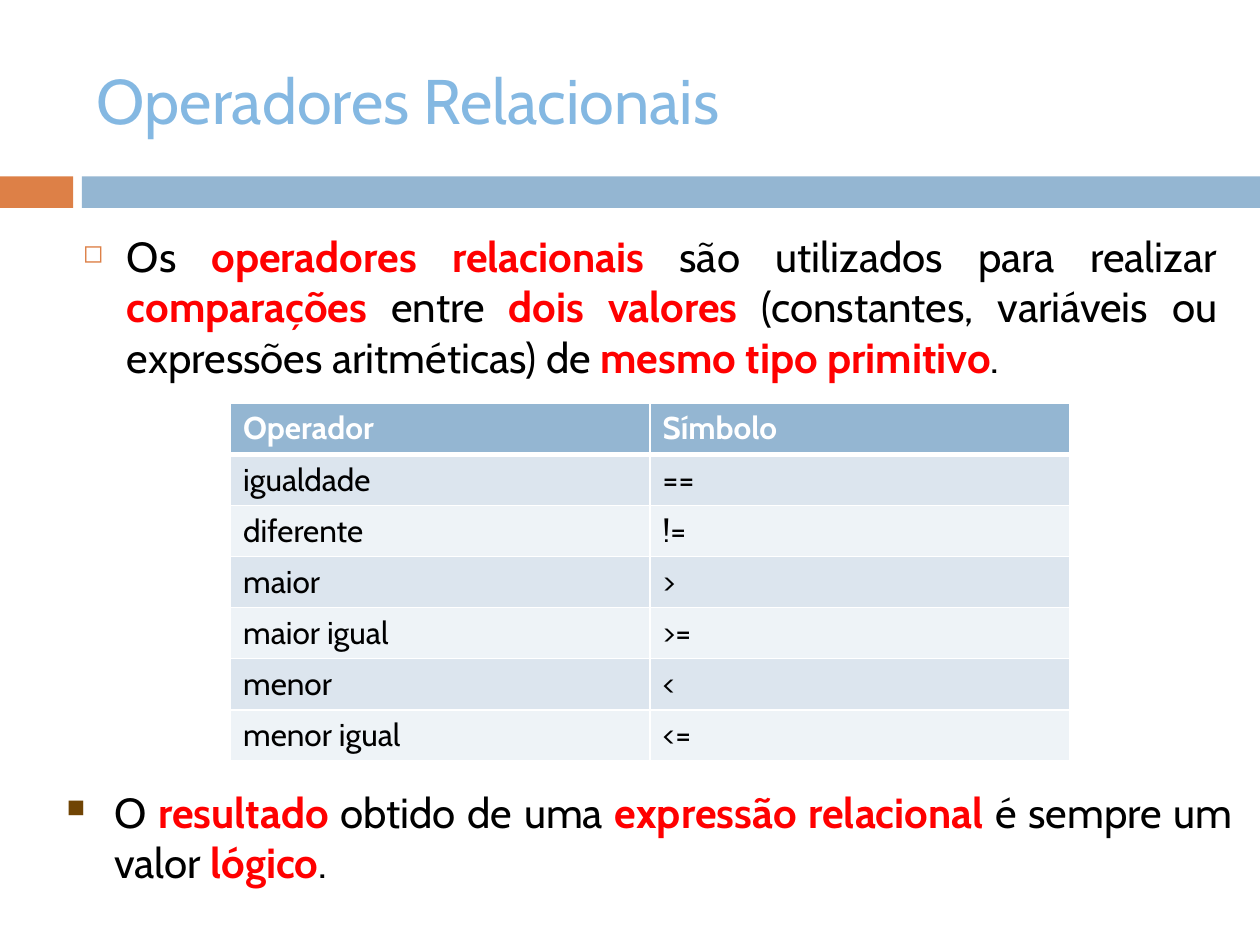
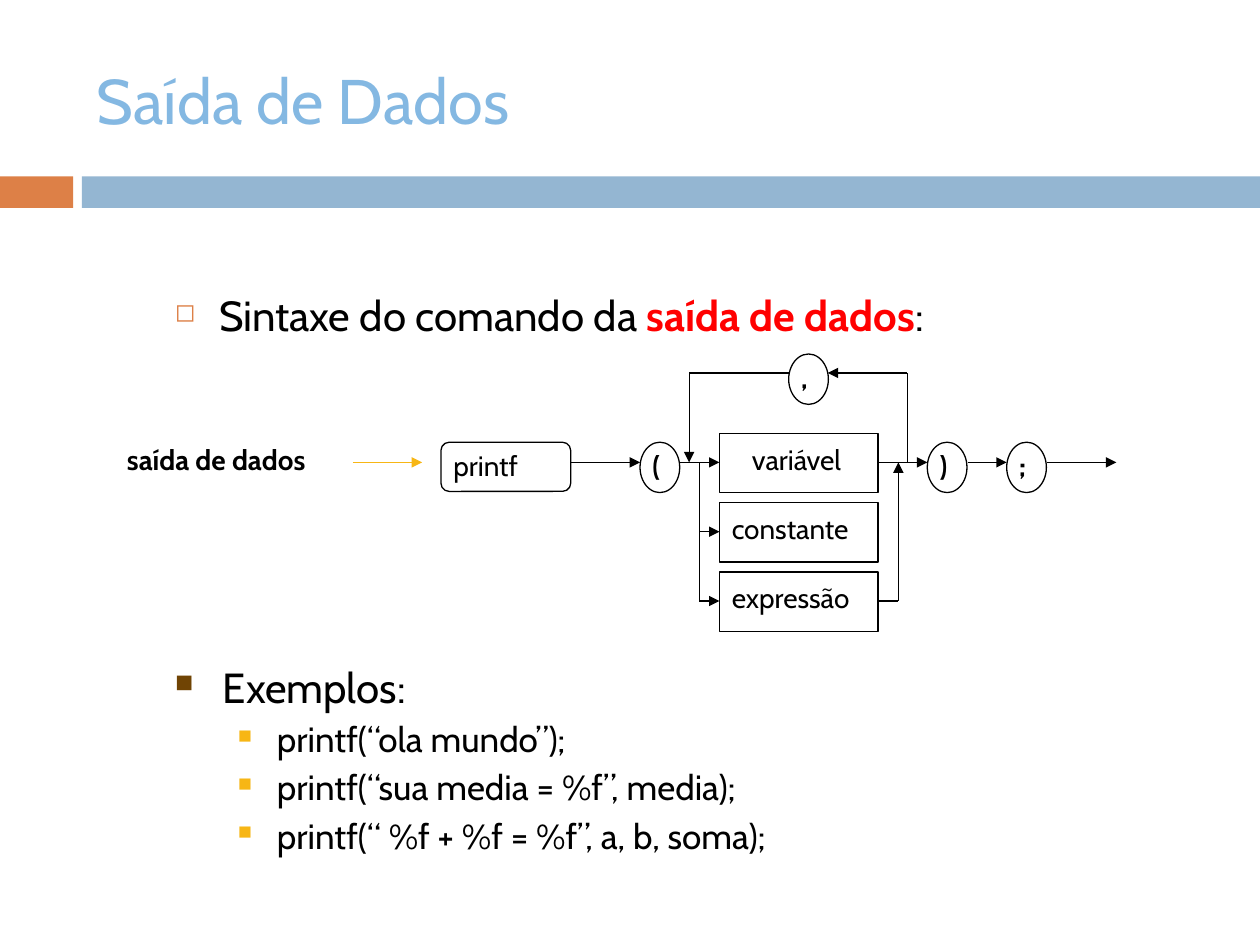
from dataclasses import dataclass
from itertools import pairwise

from lxml import etree
from pptx import Presentation
from pptx.dml.color import RGBColor
from pptx.enum.shapes import MSO_CONNECTOR, MSO_SHAPE
from pptx.enum.text import MSO_ANCHOR, PP_ALIGN
from pptx.oxml.ns import qn
from pptx.util import Emu, Inches, Pt

RECTANGLE, ROUNDED, OVAL = MSO_SHAPE.RECTANGLE, MSO_SHAPE.ROUNDED_RECTANGLE, MSO_SHAPE.OVAL
STRAIGHT = MSO_CONNECTOR.STRAIGHT
TOP, MIDDLE = MSO_ANCHOR.TOP, MSO_ANCHOR.MIDDLE
LEFT, JUSTIFY = PP_ALIGN.LEFT, PP_ALIGN.JUSTIFY

# The slide is a grid of 100 columns by 75 square rows
WIDTH, HEIGHT = Inches(10), Inches(7.5)
UNIT = WIDTH // 100


@dataclass(frozen=True)
class Theme:
    font: str = "Cabin"
    title: str = "84B8E2"
    blue: str = "94B6D2"
    orange: str = "DD8047"
    brown: str = "704404"
    gold: str = "F7B615"
    emphasis: str = "FF0000"
    ink: str = "000000"
    paper: str = "FFFFFF"
    stripes: tuple[str, str] = ("DCE5EE", "EEF3F7")
    title_size: float = 36
    body_size: float = 24
    example_size: float = 20
    table_size: float = 18
    label_size: float = 16
    line_width: float = 0.75


THEME = Theme()


@dataclass(frozen=True)
class Area:
    """Left, top, width and height in grid units."""
    left: float
    top: float
    width: float
    height: float

    def lengths(self) -> list[Emu]:
        return [grid(n) for n in (self.left, self.top, self.width, self.height)]


@dataclass(frozen=True)
class Bullet:
    mark: str
    color: str
    percent: int
    margin: float
    hang: float


@dataclass(frozen=True)
class Line:
    """Text where *stars* enclose emphasis."""
    text: str
    size: float = THEME.body_size
    color: str = THEME.ink
    bold: bool = False
    bullet: Bullet | None = None
    align: PP_ALIGN = LEFT
    space_before: float = 0
    level: int = 0


@dataclass(frozen=True)
class Node:
    """Outlined symbol of the syntax diagram with its label."""
    kind: MSO_SHAPE
    area: Area
    label: str
    bold: bool = False
    shift: tuple[float, float] = (0, 0)


@dataclass(frozen=True)
class Flow:
    """Chain of straight segments ending in an arrowhead."""
    points: tuple[tuple[float, float], ...]
    color: str = THEME.ink


HOLLOW = Bullet("◻", THEME.orange, 60, 3.5, 3.5)
SOLID = Bullet("■", THEME.brown, 60, 3.8, 3.8)
NESTED = Bullet("■", THEME.gold, 55, 8.1, 3.1)


def grid(count: float) -> Emu:
    return Emu(round(count * UNIT))


def rgb(color: str) -> RGBColor:
    return RGBColor.from_string(color)


def add_bullet(para, bullet: Bullet) -> None:
    props = para._p.get_or_add_pPr()
    props.set("marL", str(grid(bullet.margin)))
    props.set("indent", str(-grid(bullet.hang)))
    color = etree.SubElement(props, qn("a:buClr"))
    etree.SubElement(color, qn("a:srgbClr"), val=bullet.color)
    etree.SubElement(props, qn("a:buSzPct"), val=str(bullet.percent * 1000))
    etree.SubElement(props, qn("a:buChar"), char=bullet.mark)


def write_line(para, line: Line) -> None:
    para.level = line.level
    para.alignment = line.align
    if line.space_before:
        para.space_before = Pt(line.space_before)
    if line.bullet:
        add_bullet(para, line.bullet)
    font = para.font
    font.name, font.size, font.bold = THEME.font, Pt(line.size), line.bold
    font.color.rgb = rgb(line.color)
    for index, part in enumerate(line.text.split("*")):
        if part:
            span = para.add_run()
            span.text = part
            if index % 2:
                span.font.bold = True
                span.font.color.rgb = rgb(THEME.emphasis)


def add_text(page, area: Area, *lines: Line, anchor: MSO_ANCHOR = TOP) -> None:
    frame = page.shapes.add_textbox(*area.lengths()).text_frame
    frame.word_wrap = True
    frame.vertical_anchor = anchor
    for index, line in enumerate(lines):
        write_line(frame.add_paragraph() if index else frame.paragraphs[0], line)


def add_box(page, kind: MSO_SHAPE, area: Area, fill: str, outline: str | None = None) -> None:
    box = page.shapes.add_shape(kind, *area.lengths())
    box.shadow.inherit = False
    box.fill.solid()
    box.fill.fore_color.rgb = rgb(fill)
    if outline:
        box.line.color.rgb = rgb(outline)
        box.line.width = Pt(THEME.line_width)
    else:
        box.line.fill.background()


def add_node(page, node: Node) -> None:
    add_box(page, node.kind, node.area, THEME.paper, THEME.ink)
    across, down = node.shift
    label_area = Area(node.area.left + across, node.area.top + down,
                      node.area.width - across, 3.7)
    add_text(page, label_area, Line(node.label, THEME.label_size, bold=node.bold))


def add_flow(page, flow: Flow) -> None:
    for start, end in pairwise(flow.points):
        segment = page.shapes.add_connector(STRAIGHT, *map(grid, start + end))
        segment.line.color.rgb = rgb(flow.color)
        segment.line.width = Pt(THEME.line_width)
        if end == flow.points[-1]:
            etree.SubElement(segment.line._get_or_add_ln(), qn("a:tailEnd"), type="triangle")
        etree.SubElement(segment._element.spPr, qn("a:effectLst"))


def border_cell(cell, bottom: float) -> None:
    props = cell._tc.get_or_add_tcPr()
    widths = {"a:lnL": 1, "a:lnR": 1, "a:lnT": 1, "a:lnB": bottom}
    for index, (side, width) in enumerate(widths.items()):
        edge = etree.Element(qn(side), w=str(Pt(width)))
        fill = etree.SubElement(edge, qn("a:solidFill"))
        etree.SubElement(fill, qn("a:srgbClr"), val=THEME.paper)
        props.insert(index, edge)


def add_operator_table(page, area: Area, rows: list[tuple[str, str]]) -> None:
    table = page.shapes.add_table(len(rows), len(rows[0]), *area.lengths()).table
    for row, texts in enumerate(rows):
        header = row == 0
        for column, text in enumerate(texts):
            cell = table.cell(row, column)
            cell.fill.solid()
            cell.fill.fore_color.rgb = rgb(THEME.blue if header else THEME.stripes[(row - 1) % 2])
            border_cell(cell, 3 if row == 0 else 1)
            color = THEME.paper if header else THEME.ink
            write_line(cell.text_frame.paragraphs[0],
                       Line(text, THEME.table_size, color, bold=header))


def add_page(deck, title: str):
    """Blank page with the shared band and title."""
    page = deck.slides.add_slide(deck.slide_layouts[6])
    add_box(page, RECTANGLE, Area(0, 14, 5.8, 2.5), THEME.orange)
    add_box(page, RECTANGLE, Area(6.5, 14, 93.5, 2.5), THEME.blue)
    add_text(page, Area(6.7, 2.5, 89.2, 10.8),
             Line(title, THEME.title_size, THEME.title), anchor=MIDDLE)
    return page


def build_operators(deck) -> None:
    page = add_page(deck, "Operadores Relacionais")
    add_text(page, Area(5.6, 17.8, 92, 17.8), Line(
        "Os *operadores relacionais *são utilizados para realizar *comparações* entre "
        "*dois valores *(constantes, variáveis ou expressões aritméticas) de "
        "*mesmo tipo primitivo*.", bullet=HOLLOW, align=JUSTIFY))
    add_text(page, Area(4.3, 61.9, 94.5, 10.2), Line(
        "O *resultado* obtido de uma *expressão relacional *é sempre um valor *lógico*.",
        bullet=SOLID, align=JUSTIFY))
    add_operator_table(page, Area(18.3, 32, 66.6, 28.4), [
        ("Operador", "Símbolo"),
        ("igualdade", "=="),
        ("diferente", "!="),
        ("maior", ">"),
        ("maior igual", ">="),
        ("menor", "<"),
        ("menor igual", "<="),
    ])


def build_output(deck) -> None:
    page = add_page(deck, "Saída de Dados")
    add_text(page, Area(12.9, 22.5, 85, 6),
             Line("Sintaxe do comando da *saída de dados*:", bullet=HOLLOW))

    # Symbols: command, circled punctuation, stacked alternatives
    axis, top, loop = 36.7, 35.1, 29.6
    choice_left, choice_right, choice_step = 57.1, 69.7, 5.5
    nodes = [Node(ROUNDED, Area(35, top, 10.3, 3.9), "printf")]
    circles = [(50.8, top, "("), (73.6, top, ")"), (79.9, top, ";"), (62.6, 28.1, ",")]
    nodes += [Node(OVAL, Area(left, row, 3.15, 4), mark, bold=True)
              for left, row, mark in circles]
    choices = [("variável", 1.6), ("constante", 0), ("expressão", 0)]
    nodes += [Node(RECTANGLE, Area(choice_left, 34.4 + index * choice_step, 12.6, 4.7),
                   name, shift=(across, 0.2))
              for index, (name, across) in enumerate(choices)]
    for node in nodes:
        add_node(page, node)
    add_text(page, Area(9.1, 34.6, 19.7, 3.7),
             Line("saída de dados", THEME.label_size, bold=True))

    # Arrows along the axis, the comma loop, and the branches
    second, third = axis + choice_step, axis + 2 * choice_step
    steps = [(45.3, 50.8), (54, choice_left), (choice_right, 73.6), (76.8, 79.9), (83.1, 88.6)]
    flows = [Flow(((start, axis), (end, axis))) for start, end in steps]
    flows += [
        Flow(((28, axis), (33.5, axis)), THEME.gold),
        Flow(((72, axis), (72, loop), (65.7, loop))),
        Flow(((62.6, loop), (54.7, loop), (54.7, axis))),
        Flow(((55.5, axis), (55.5, third), (choice_left, third))),
        Flow(((55.5, second), (choice_left, second))),
        Flow(((choice_right, third), (71.3, third), (71.3, axis))),
    ]
    for flow in flows:
        add_flow(page, flow)

    examples = ["printf(“ola mundo”);", "printf(“sua media = %f”, media);",
                "printf(“ %f + %f = %f”, a, b, soma);"]
    add_text(page, Area(12.9, 52, 85, 23), Line("Exemplos:", bullet=SOLID),
             *(Line(text, THEME.example_size, bullet=NESTED, space_before=3.5, level=1)
               for text in examples))


def main() -> None:
    deck = Presentation()
    deck.slide_width, deck.slide_height = WIDTH, HEIGHT
    build_operators(deck)
    build_output(deck)
    deck.save("out.pptx")


if __name__ == "__main__":
    main()
